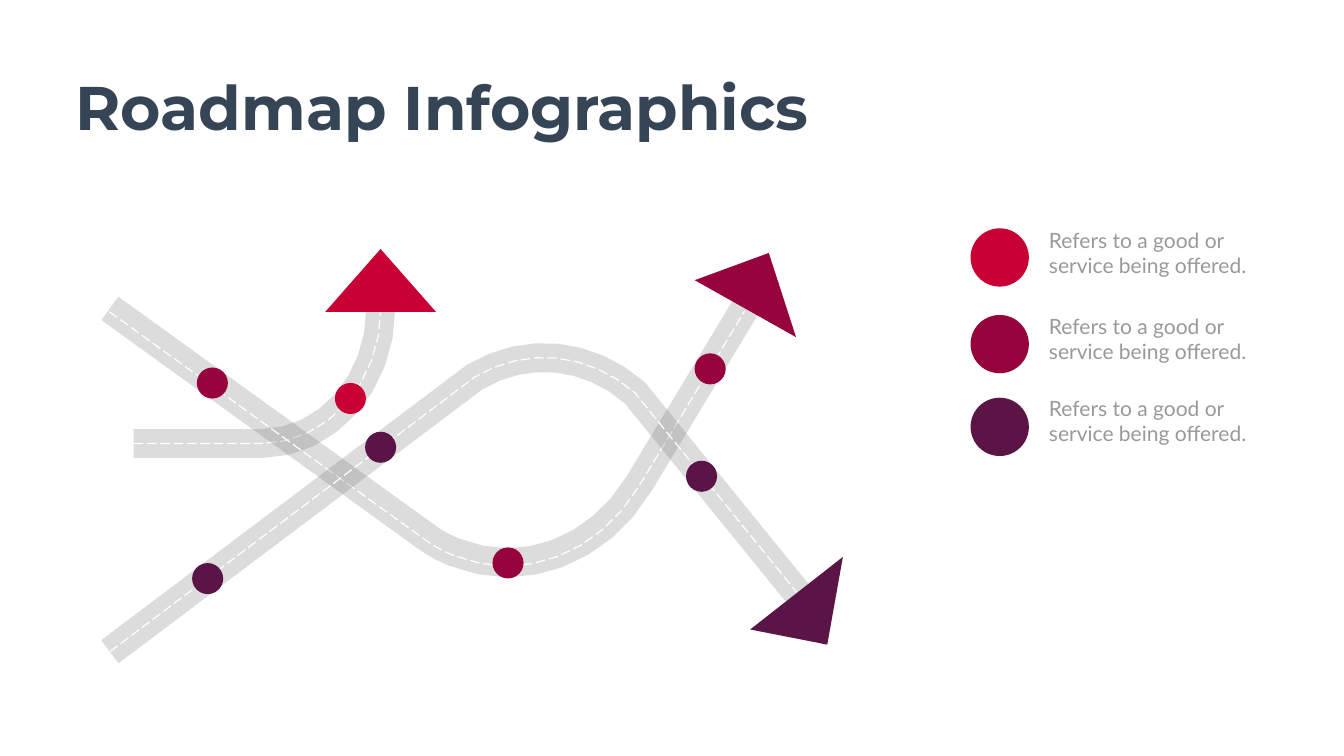
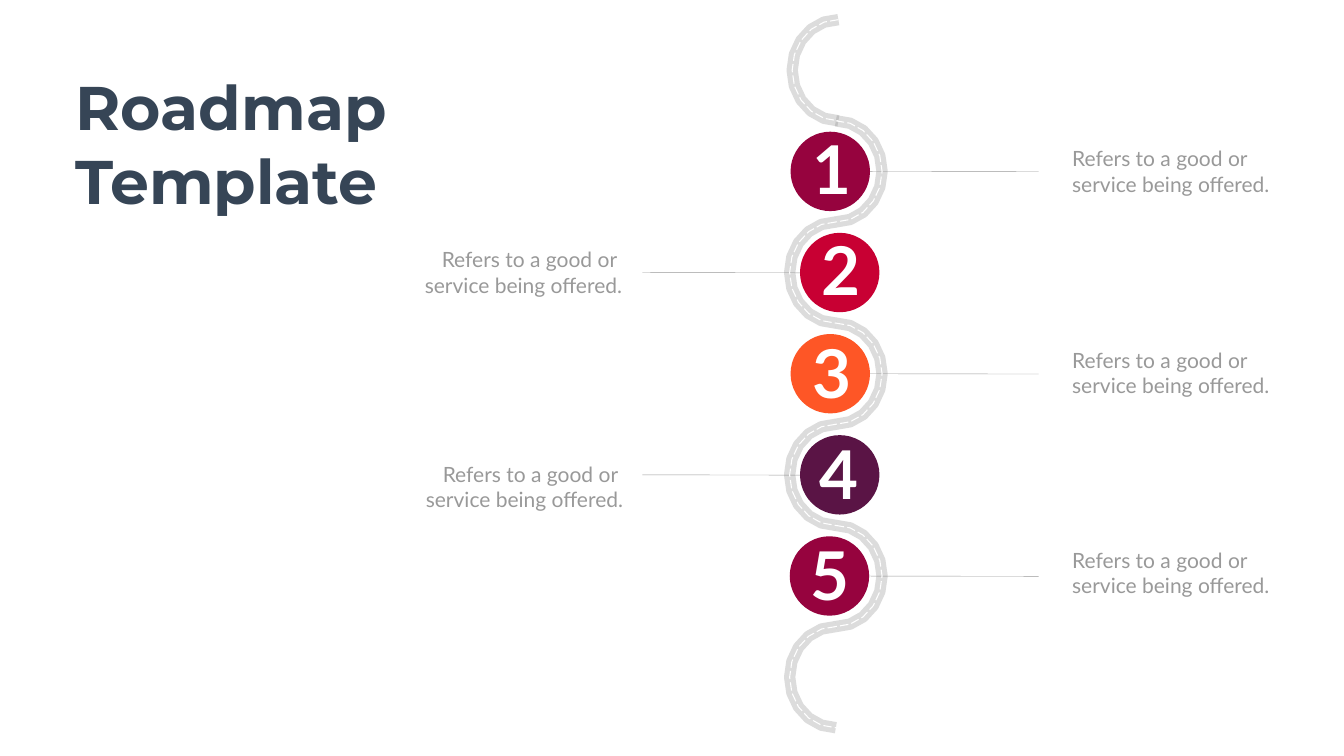
import math

import pptx
import pptx.dml.color
import pptx.enum.dml
import pptx.enum.shapes
import pptx.enum.text
import pptx.oxml.ns
import pptx.util
from lxml import etree

Pt = pptx.util.Pt
ALIGN = pptx.enum.text.PP_ALIGN

# Shared style
RED, WINE, PURPLE, ORANGE = "C80033", "96033E", "5A1445", "FE5626"
SLATE, GREY, ROAD, WHITE = "364556", "999999", "797979", "FFFFFF"
TITLE_FONT, BODY_FONT = "Montserrat", "Lato"
NOTE = ["Refers to a good or", "service being offered."]


def rgb(hex_string):
    return pptx.dml.color.RGBColor.from_string(hex_string)


def write(tf, lines, size=30, font=BODY_FONT, color=GREY, bold=False,
          align=ALIGN.LEFT, wrap=True):
    """Fill a text frame with one paragraph per line."""
    tf.word_wrap = wrap
    tf.auto_size = pptx.enum.text.MSO_AUTO_SIZE.SHAPE_TO_FIT_TEXT
    tf.vertical_anchor = pptx.enum.text.MSO_ANCHOR.TOP
    for i, line in enumerate(lines):
        p = tf.add_paragraph() if i else tf.paragraphs[0]
        p.alignment = align
        p.line_spacing = 1.0
        p.space_before = Pt(0)
        r = p.add_run()
        r.text = line
        r.font.size = Pt(size)
        r.font.name = font
        r.font.bold = bold
        r.font.color.rgb = rgb(color)


def bezier(p0, p1, p2, p3, steps=8):
    """Points on a cubic curve, from p0 to p3."""
    points = []
    for i in range(steps + 1):
        t = i / steps
        u = 1 - t
        points.append(tuple(
            u**3 * a + 3 * u * u * t * b + 3 * u * t * t * c + t**3 * d
            for a, b, c, d in zip(p0, p1, p2, p3)))
    return points


def half_ellipse(x, top, rx, height, steps=10):
    """Points from top to bottom; a negative rx bulges to the left."""
    angles = [math.pi * i / steps for i in range(steps + 1)]
    return [(x + rx * math.sin(a), top + height / 2 * (1 - math.cos(a)))
            for a in angles]


class Deck:
    def __init__(self):
        self.prs = pptx.Presentation()
        self.prs.slide_width = Pt(1919.52)
        self.prs.slide_height = Pt(1080)
        self.s = None

    def slide(self, title, width, height):
        self.s = self.prs.slides.add_slide(self.prs.slide_layouts[5])
        sp = self.s.shapes.title
        sp.left, sp.top = Pt(100.8), Pt(94.3)
        sp.width, sp.height = Pt(width), Pt(height)
        write(sp.text_frame, title, size=88, font=TITLE_FONT, color=SLATE,
              bold=True, wrap=False)

    def text(self, lines, x, y, w, h, **fmt):
        sp = self.s.shapes.add_textbox(Pt(x), Pt(y), Pt(w), Pt(h))
        write(sp.text_frame, lines, **fmt)

    def note(self, x, y, lines=NOTE, **fmt):
        self.text(lines, x, y, 302.4, 79.9, **fmt)

    def fill(self, sp, color):
        sp.shadow.inherit = False
        sp.fill.solid()
        sp.fill.fore_color.rgb = rgb(color)
        sp.line.fill.background()

    def circle(self, cx, cy, diameter, color):
        sp = self.s.shapes.add_shape(
            pptx.enum.shapes.MSO_SHAPE.OVAL, Pt(cx - diameter / 2),
            Pt(cy - diameter / 2), Pt(diameter), Pt(diameter))
        self.fill(sp, color)

    def outline(self, points, close):
        points = [(Pt(x), Pt(y)) for x, y in points]
        builder = self.s.shapes.build_freeform(*points[0], scale=1.0)
        builder.add_line_segments(points[1:], close=close)
        return builder.convert_to_shape()

    def arrowhead(self, points, color):
        self.fill(self.outline(points, True), color)

    def curve(self, points, color, width):
        sp = self.outline(points, False)
        sp.shadow.inherit = False
        sp.fill.background()
        sp.line.color.rgb = rgb(color)
        sp.line.width = Pt(width)
        return sp

    def road(self, points, width):
        """Translucent road surface."""
        sp = self.curve(points, ROAD, width)
        clr = sp._element.xpath(".//a:ln//a:srgbClr")[0]
        etree.SubElement(clr, pptx.oxml.ns.qn("a:alpha"), val="25000")

    def lane(self, points, width):
        """Dashed centre line."""
        sp = self.curve(points, WHITE, width)
        sp.line.dash_style = pptx.enum.dml.MSO_LINE.LONG_DASH

    def leader(self, x, y):
        """Thin line that drops slightly to the right."""
        c = self.s.shapes.add_connector(
            pptx.enum.shapes.MSO_CONNECTOR.STRAIGHT,
            Pt(x), Pt(y), Pt(x + 293.8), Pt(y + 0.5))
        c.line.color.rgb = rgb(GREY)
        c.line.width = Pt(0.57)
        etree.SubElement(c._element.spPr, pptx.oxml.ns.qn("a:effectLst"))


def crossing_roads(deck):
    deck.slide(["Roadmap Infographics"], 1062, 113.8)

    # Roads, each with the shift of its lane
    short = [(190.8, 633.6)] + bezier(
        (372.6, 633.6), (467.2, 633.6), (543.8, 547), (543.8, 440.6))
    dipping = ([(157, 440.6)]
               + bezier((604.8, 764), (617.8, 774), (632.2, 782), (647.3, 788.4), 3)
               + bezier((650, 789.2), (746.6, 828), (853.9, 787.7), (912.2, 691.9))
               + [(1064.2, 440)])
    rising = ([(157, 931)]
              + bezier((678.2, 538.6), (751.7, 494.6), (840.2, 503.3), (906.5, 560.9))
              + [(1141.2, 850.3)])
    for points, dx, dy in [(short, 0, 0), (dipping, -0.9, 4.7), (rising, 0, 0)]:
        deck.road(points, 41.25)
        deck.lane([(x + dx, y + dy) for x, y in points], 1.73)

    # Arrowheads
    deck.arrowhead([(464.4, 445.7), (543.6, 355.7), (622.8, 445.7)], RED)
    deck.arrowhead([(1203.8, 795.6), (1181.5, 920.9), (1071.4, 899.3)], PURPLE)
    deck.arrowhead([(992.2, 400.3), (1098, 361.4), (1136.9, 481.7)], WINE)

    # Markers on the roads
    markers = {
        PURPLE: [(296.6, 826.6), (543.6, 639), (1002, 680.4)],
        WINE: [(1014.3, 527), (725.6, 804.2), (303.3, 547.2)],
        RED: [(500.5, 569.3)],
    }
    for color, centres in markers.items():
        for cx, cy in centres:
            deck.circle(cx, cy, 44.4, color)

    # Legend
    legend = [(RED, 367.8, 321.2), (WINE, 491.6, 444.2), (PURPLE, 609.8, 561.6)]
    for color, cy, note_top in legend:
        deck.circle(1427.8, cy, 83.3, color)
        deck.note(1491.1, note_top)


def winding_road(deck):
    deck.slide(["Roadmap", "Template"], 460, 220.3)
    step, road_top = 144.5, 28.1

    # Stops: colour, circle centre, number left and top, note left and top
    stops = [
        (WINE, 1185.8, 1152.7, 178.6, 1524.2, 205),
        (RED, 1199.3, 1165.7, 323.3, 593.3, 349.3),
        (ORANGE, 1185.8, 1152.7, 469.4, 1524.2, 492.5),
        (PURPLE, 1199.3, 1163.5, 614.2, 594.7, 655.1),
        (WINE, 1184.6, 1150.6, 758.2, 1524.2, 778.3),
    ]
    centres = [road_top + step * (i + 1.5) for i in range(len(stops))]

    # Leader lines, alternating right and left
    for i, cy in enumerate(centres):
        deck.leader(917.3 if i % 2 else 1189.4, cy)

    # Bends of the road, alternating left and right
    bends = [half_ellipse(1193.8 if i else 1197.4, road_top + step * i,
                          66 if i % 2 else -66, step) for i in range(7)]
    for bend in bends:
        deck.road(bend, 16.19)
    for bend in bends:
        deck.lane(bend, 1.5)

    # Numbered stops with their notes
    for i, (stop, cy) in enumerate(zip(stops, centres)):
        color, cx, number_x, number_y, note_x, note_y = stop
        deck.circle(cx, cy, 113.4, color)
        deck.text([str(i + 1)], number_x, number_y, 70.6, 123.8, size=96,
                  color=WHITE, bold=True, wrap=False)
        if i % 2:
            deck.note(note_x, note_y, [NOTE[0] + " ", NOTE[1]], align=ALIGN.RIGHT)
        else:
            deck.note(note_x, note_y)


def main():
    deck = Deck()
    crossing_roads(deck)
    winding_road(deck)
    deck.prs.save("out.pptx")


if __name__ == "__main__":
    main()
